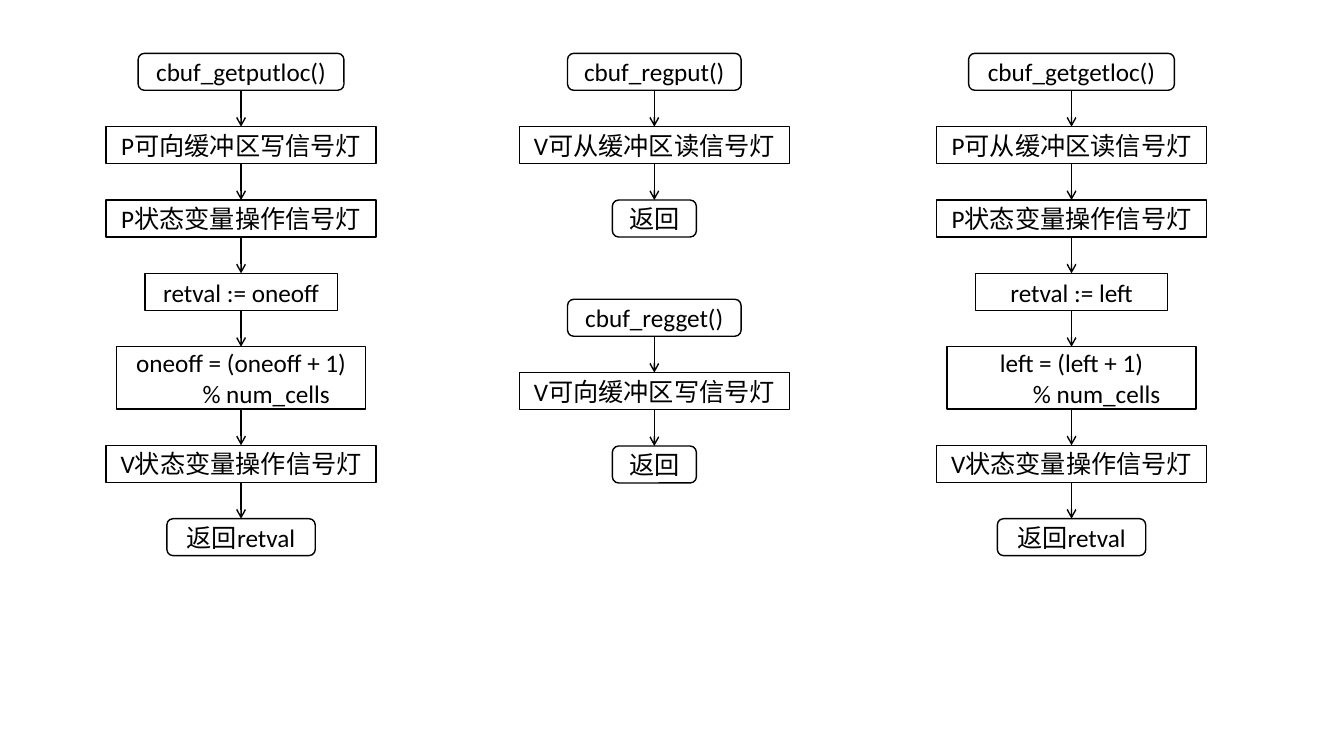
"""Build a slide of four flowcharts for circular buffer operations."""
from dataclasses import dataclass

from lxml.etree import SubElement
from pptx import Presentation
from pptx.dml.color import RGBColor
from pptx.enum.shapes import MSO_CONNECTOR, MSO_SHAPE
from pptx.enum.text import MSO_ANCHOR, PP_ALIGN
from pptx.oxml.ns import qn
from pptx.shapes.autoshape import Shape
from pptx.shapes.shapetree import GroupShapes
from pptx.slide import Slide
from pptx.util import Pt


@dataclass(frozen=True)
class Theme:
    ink: RGBColor = RGBColor(0, 0, 0)
    paper: RGBColor = RGBColor(255, 255, 255)
    font: str = "Calibri"
    text_size: float = 18
    line_width: float = 1


@dataclass(frozen=True)
class Step:
    lines: tuple[str, ...]
    width: float
    rounded: bool = False


@dataclass(frozen=True)
class Flow:
    center: float
    top: float
    steps: tuple[Step, ...]


THEME = Theme()
STEP_HEIGHT = 26.4
TALL_STEP_HEIGHT = 44.4
STEP_GAP = 26
SEMAPHORE_WIDTH = 193
TOP = 38.1
LOWER_TOP = 213.8
LEFT_CENTER, MIDDLE_CENTER, RIGHT_CENTER = 172.2, 467.4, 765.4


def semaphore(text: str) -> Step:
    return Step((text,), SEMAPHORE_WIDTH)


def locate_flow(center: float, name: str, wait: str, variable: str) -> Flow:
    return Flow(center, TOP, (
        Step((name,), 147, rounded=True),
        semaphore(wait),
        semaphore("P状态变量操作信号灯"),
        Step((f"retval := {variable}",), 137.5),
        Step((f"{variable} = ({variable} + 1)", "\t% num_cells"), 178),
        semaphore("V状态变量操作信号灯"),
        Step(("返回retval",), 106, rounded=True),
    ))


def register_flow(top: float, name: str, signal: str) -> Flow:
    return Flow(MIDDLE_CENTER, top, (
        Step((name,), 124, rounded=True),
        semaphore(signal),
        Step(("返回",), 60, rounded=True),
    ))


FLOWS = (
    locate_flow(LEFT_CENTER, "cbuf_getputloc()", "P可向缓冲区写信号灯", "oneoff"),
    register_flow(TOP, "cbuf_regput()", "V可从缓冲区读信号灯"),
    register_flow(LOWER_TOP, "cbuf_regget()", "V可向缓冲区写信号灯"),
    locate_flow(RIGHT_CENTER, "cbuf_getgetloc()", "P可从缓冲区读信号灯", "left"),
)


def draw_step(shapes: GroupShapes, step: Step, center: float, top: float, height: float) -> Shape:
    kind = MSO_SHAPE.ROUNDED_RECTANGLE if step.rounded else MSO_SHAPE.RECTANGLE
    box = shapes.add_shape(kind, Pt(center - step.width / 2), Pt(top), Pt(step.width), Pt(height))
    box.shadow.inherit = False
    box.fill.solid()
    box.fill.fore_color.rgb = THEME.paper
    box.line.color.rgb = THEME.ink
    box.line.width = Pt(THEME.line_width)
    frame = box.text_frame
    frame.word_wrap = True
    frame.vertical_anchor = MSO_ANCHOR.MIDDLE
    for index, line in enumerate(step.lines):
        para = frame.add_paragraph() if index else frame.paragraphs[0]
        para.alignment = PP_ALIGN.CENTER
        span = para.add_run()
        span.text = line
        span.font.name = THEME.font
        span.font.size = Pt(THEME.text_size)
        span.font.color.rgb = THEME.ink
    return box


def draw_arrow(shapes: GroupShapes, upper: Shape, lower: Shape) -> None:
    arrow = shapes.add_connector(MSO_CONNECTOR.STRAIGHT, 0, 0, 0, 0)
    arrow.begin_connect(upper, 2)
    arrow.end_connect(lower, 0)
    arrow.line.color.rgb = THEME.ink
    arrow.line.width = Pt(THEME.line_width)
    properties = arrow.element.spPr
    SubElement(properties.find(qn("a:ln")), qn("a:tailEnd"), type="arrow")
    SubElement(properties, qn("a:effectLst"))


def draw_flow(page: Slide, flow: Flow) -> None:
    boxes = []
    top = flow.top
    group = page.shapes.add_group_shape()
    for step in flow.steps:
        height = TALL_STEP_HEIGHT if len(step.lines) > 1 else STEP_HEIGHT
        boxes.append(draw_step(group.shapes, step, flow.center, top, height))
        top += height + STEP_GAP
    for upper, lower in zip(boxes, boxes[1:]):
        draw_arrow(group.shapes, upper, lower)
    first, last = boxes[0], boxes[-1]
    widest = max(boxes, key=lambda box: box.width)
    group.left, group.top = widest.left, first.top
    group.width, group.height = widest.width, last.top + last.height - first.top
    frame = group.element.grpSpPr.find(qn("a:xfrm"))
    for tag, source in (("a:chOff", "a:off"), ("a:chExt", "a:ext")):
        frame.find(qn(tag)).attrib.update(frame.find(qn(source)).attrib)


def main() -> None:
    deck = Presentation()
    deck.slide_width, deck.slide_height = Pt(960), Pt(540)
    page = deck.slides.add_slide(deck.slide_layouts[6])
    for flow in FLOWS:
        draw_flow(page, flow)
    deck.save("out.pptx")


if __name__ == "__main__":
    main()
